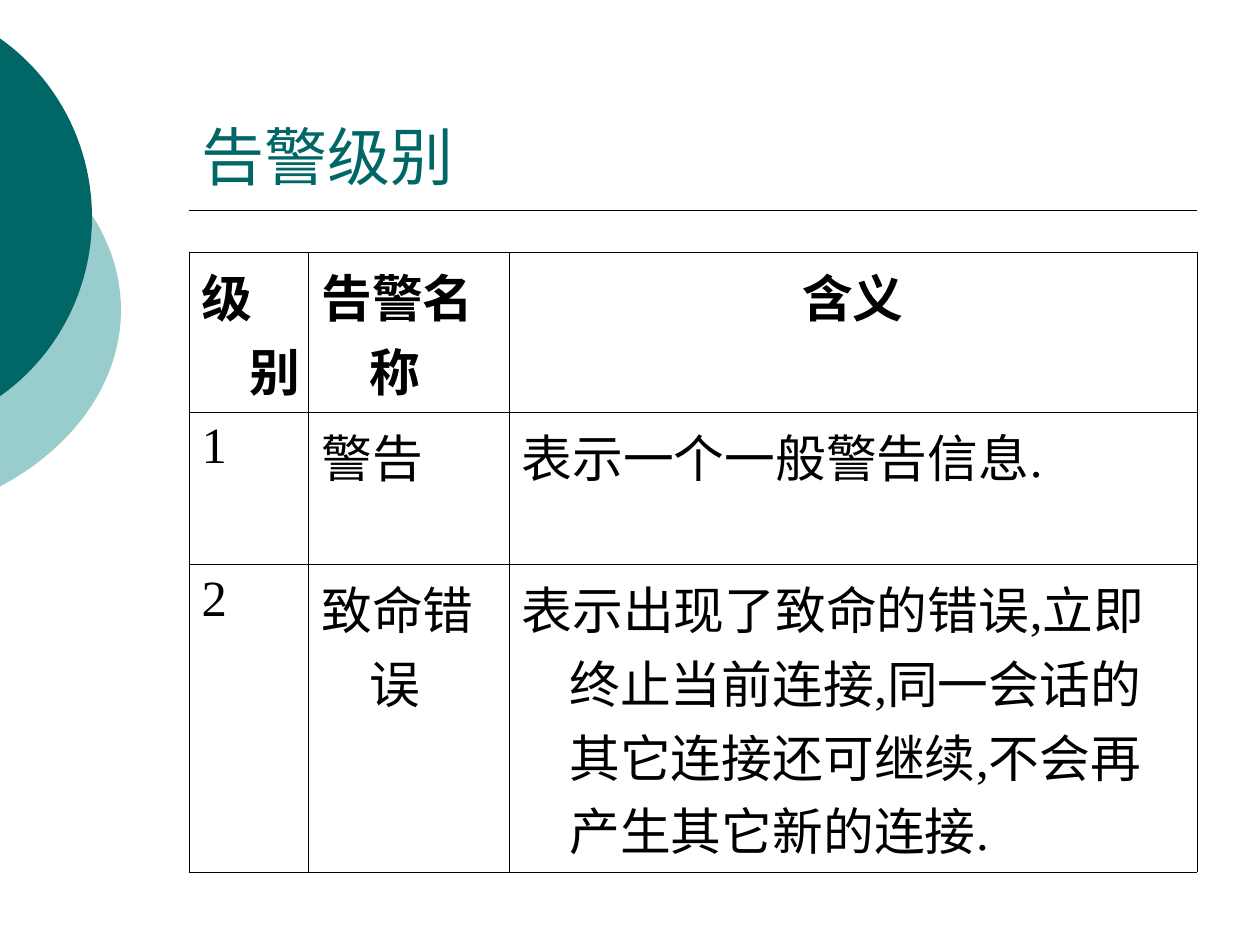
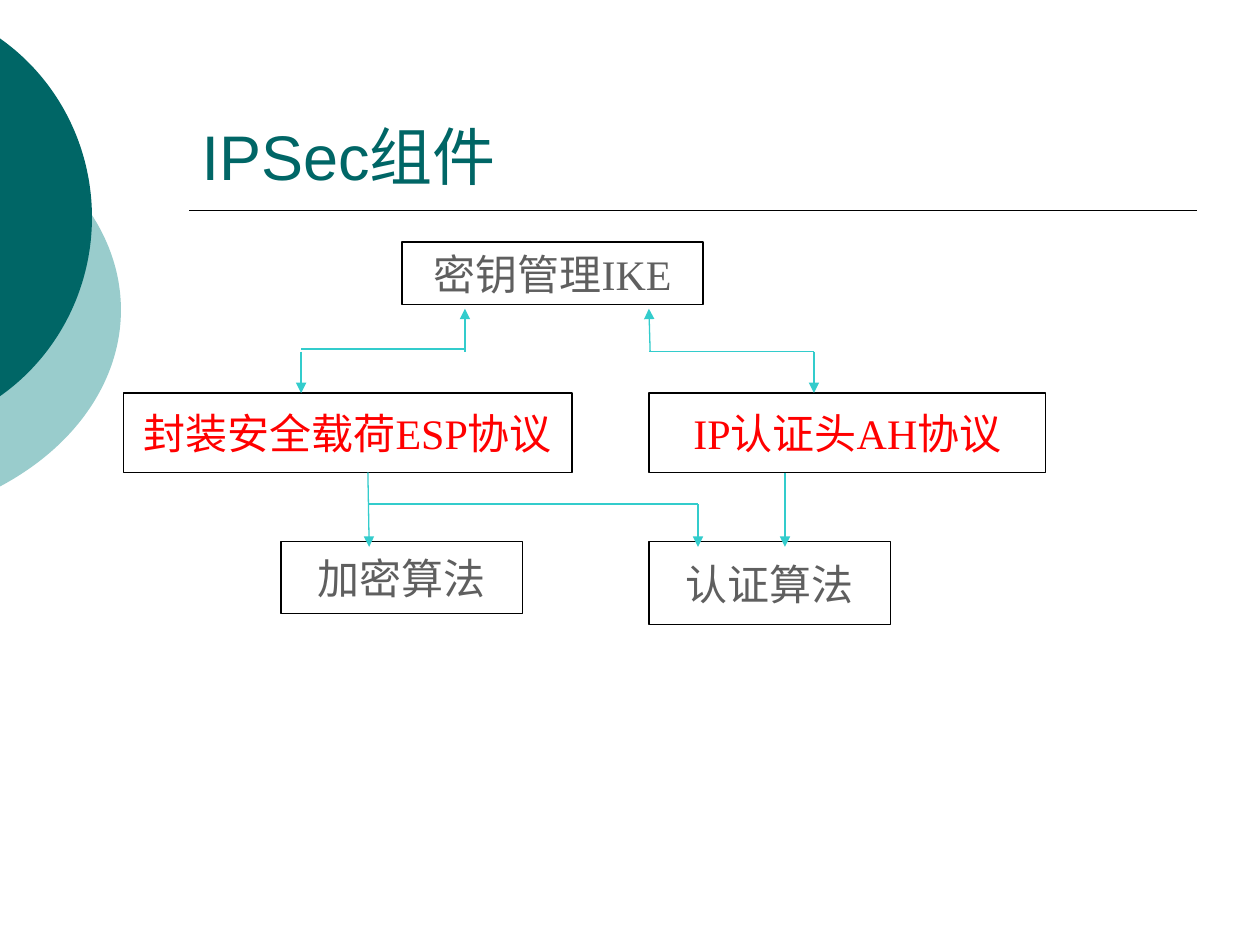
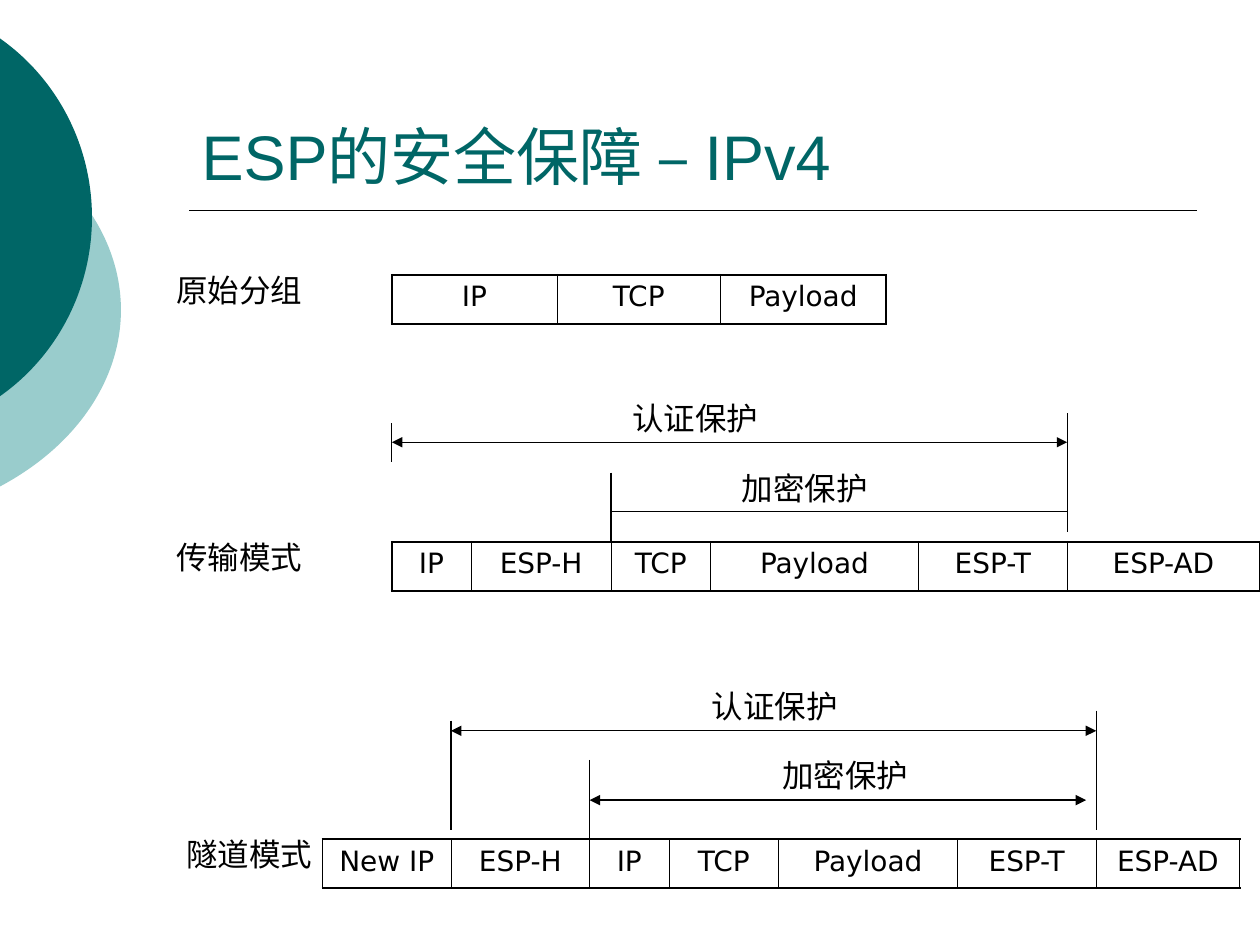
from itertools import accumulate

from lxml import etree
from pptx import Presentation
from pptx.dml.color import RGBColor
from pptx.enum.shapes import MSO_CONNECTOR, MSO_SHAPE
from pptx.enum.text import MSO_ANCHOR, MSO_AUTO_SIZE, PP_ALIGN
from pptx.oxml.ns import qn
from pptx.util import Inches, Pt

LEFT, CENTER = PP_ALIGN.LEFT, PP_ALIGN.CENTER
OVAL, RECTANGLE = MSO_SHAPE.OVAL, MSO_SHAPE.RECTANGLE
STRAIGHT = MSO_CONNECTOR.STRAIGHT
BOTTOM, MIDDLE = MSO_ANCHOR.BOTTOM, MSO_ANCHOR.MIDDLE
NO_FIT = MSO_AUTO_SIZE.NONE
TEAL, PALE_TEAL, AQUA = "006666", "99CCCC", "33CCCC"
BLACK, WHITE, RED, GREY = "000000", "FFFFFF", "FF0000", "5F5F5F"
HEADING, SERIF, SANS = "Arial", "Times New Roman", "DejaVu Sans"
MARGIN, CONTENT_W = 1.5, 8
THIN, THICK = 0.45, 1.08


def write(frame, text, size, font, colour, align=LEFT, bold=False):
    paragraph = frame.paragraphs[0]
    paragraph.alignment = align
    run = paragraph.add_run()
    run.text = text
    run.font.size, run.font.name, run.font.bold = Pt(size), font, bold
    run.font.color.rgb = RGBColor.from_string(colour)
    return paragraph


def draw_line(slide, x1, y1, x2, y2, colour=BLACK, width=0.75, arrows=()):
    line = slide.shapes.add_connector(
        STRAIGHT, Inches(x1), Inches(y1), Inches(x2), Inches(y2))
    line.line.color.rgb = RGBColor.from_string(colour)
    line.line.width = Pt(width)
    for end in arrows:
        etree.SubElement(line.line._get_or_add_ln(), qn(f"a:{end}"), type="triangle")
    etree.SubElement(line._element.spPr, qn("a:effectLst"))


prs = Presentation()
prs.slide_width, prs.slide_height = Inches(10), Inches(7.5)

# Shared frame: two discs cut by the left edge, title and rule
discs = [(PALE_TEAL, -3.54, 0.75, 4.5, 3.42), (TEAL, -2.65, 0, 3.38, 3.45)]
slides = []
for heading in ["告警级别", "IPSec组件", "ESP的安全保障 – IPv4"]:
    slide = prs.slides.add_slide(prs.slide_layouts[5])
    slides.append(slide)
    for colour, x, y, w, h in discs:
        disc = slide.shapes.add_shape(OVAL, Inches(x), Inches(y), Inches(w), Inches(h))
        disc.shadow.inherit = False
        disc.fill.solid()
        disc.fill.fore_color.rgb = RGBColor.from_string(colour)
        disc.line.fill.background()
    draw_line(slide, MARGIN, 1.67, MARGIN + CONTENT_W, 1.67, width=1)
    title = slide.shapes.title
    title.left, title.top = Inches(MARGIN), Inches(0.33)
    title.width, title.height = Inches(CONTENT_W), Inches(1.25)
    title.text_frame.auto_size = NO_FIT
    title.text_frame.vertical_anchor = BOTTOM
    write(title.text_frame, heading, 36, HEADING, TEAL)
alerts, components, packets = slides

# Tables: alert levels, then the three packet layouts
alert_rows = [
    ["级别", "告警名称", "含义"],
    ["1", "警告", "表示一个一般警告信息."],
    ["2", "致命错误", "表示出现了致命的错误,立即终止当前连接,"
                  "同一会话的其它连接还可继续,不会再产生其它新的连接."],
]
transport_x, transport_widths = 3.11, [0.63, 1.11, 0.79, 1.65, 1.18, 1.53]
tunnel_x, tunnel_widths = 2.56, [1.02, 1.1, 0.63, 0.87, 1.42, 1.1, 1.14]
PLAIN_Y, TRANSPORT_Y, TUNNEL_Y = 2.18, 4.3, 6.66
PACKET_H = [0.39]
tables = [
    (alerts, MARGIN, 2, [0.95, 1.59, 5.46], [1.24, 1.21, 2.05], alert_rows),
    (packets, transport_x, PLAIN_Y, [1.31, 1.3, 1.31], PACKET_H,
     [["IP", "TCP", "Payload"]]),
    (packets, transport_x, TRANSPORT_Y, transport_widths, PACKET_H,
     [["IP", "ESP-H", "TCP", "Payload", "ESP-T", "ESP-AD"]]),
    (packets, tunnel_x, TUNNEL_Y, tunnel_widths, PACKET_H,
     [["New IP", "ESP-H", "IP", "TCP", "Payload", "ESP-T", "ESP-AD"]]),
]
for slide, x, y, widths, heights, rows in tables:
    is_alert = slide is alerts
    outer = THIN if is_alert else THICK
    table = slide.shapes.add_table(
        len(rows), len(widths), Inches(x), Inches(y),
        Inches(sum(widths)), Inches(sum(heights))).table
    table.first_row = table.horz_banding = False
    for column, width in zip(table.columns, widths):
        column.width = Inches(width)
    for r, row in enumerate(rows):
        table.rows[r].height = Inches(heights[r])
        for c, text in enumerate(row):
            cell = table.cell(r, c)
            if is_alert:
                align = CENTER if r == 0 and c == 2 else LEFT
                paragraph = write(cell.text_frame, text, 29, SERIF, BLACK, align, r == 0)
                indent = paragraph._p.get_or_add_pPr()
                indent.set("marL", str(Inches(0.38)))
                indent.set("indent", str(Inches(-0.38)))
            else:
                write(cell.text_frame, text, 16, SANS, BLACK, CENTER)
            edges = {"lnL": c == 0, "lnR": c == len(row) - 1,
                     "lnT": r == 0, "lnB": r == len(rows) - 1}
            borders = cell._tc.get_or_add_tcPr()
            for edge, is_outer in edges.items():
                border = etree.SubElement(borders, qn(f"a:{edge}"),
                                          w=str(Pt(outer if is_outer else THIN)))
                fill = etree.SubElement(border, qn("a:solidFill"))
                etree.SubElement(fill, qn("a:srgbClr"), val=BLACK)
            cell.fill.background()

# IPSec components: boxes
boxes = [
    ("封装安全载荷ESP协议", 0.98, 3.12, 3.56, 0.63, RED),
    ("IP认证头AH协议", 5.15, 3.12, 3.15, 0.63, RED),
    ("加密算法", 2.23, 4.3, 1.92, 0.57, GREY),
    ("认证算法", 5.15, 4.3, 1.92, 0.66, GREY),
    ("密钥管理IKE", 3.19, 1.92, 2.39, 0.5, GREY),
]
for text, x, y, w, h, colour in boxes:
    box = components.shapes.add_shape(
        RECTANGLE, Inches(x), Inches(y), Inches(w), Inches(h))
    box.shadow.inherit = False
    box.fill.solid()
    box.fill.fore_color.rgb = RGBColor.from_string(WHITE)
    box.line.color.rgb = RGBColor.from_string(BLACK)
    box.line.width = Pt(0.75)
    box.text_frame.word_wrap = False
    box.text_frame.vertical_anchor = MIDDLE
    write(box.text_frame, text, 24, SERIF, colour, CENTER)

# IPSec components: stepped arrows
TO, FROM = ["tailEnd"], ["headEnd"]
links = [
    (2.39, 2.79, 2.39, 3.12, TO), (2.39, 2.77, 3.69, 2.77, []), (3.69, 2.45, 3.69, 2.79, FROM),
    (6.46, 2.79, 6.46, 3.12, TO), (5.15, 2.79, 6.46, 2.79, []), (5.15, 2.45, 5.16, 2.79, FROM),
    (6.23, 3.75, 6.23, 4.34, TO), (2.92, 3.75, 2.93, 4.34, TO),
    (2.92, 4, 5.54, 4, []), (5.54, 4, 5.54, 4.34, TO),
]
for *ends, arrows in links:
    draw_line(components, *ends, AQUA, arrows=arrows)

# Packet protection: spans follow the field edges of each packet
transport = list(accumulate(transport_widths, initial=transport_x))
tunnel = list(accumulate(tunnel_widths, initial=tunnel_x))
BOTH = ["headEnd", "tailEnd"]
spans = [
    (transport[0], transport[5], 3.51, BOTH),
    (transport[2], transport[5], 4.06, []),
    (tunnel[1], tunnel[6], 5.8, BOTH),
    (tunnel[2], tunnel[6] - 0.08, 6.35, BOTH),
]
for start, end, y, arrows in spans:
    draw_line(packets, start, y, end, y, arrows=arrows)
limits = [
    (transport[0], 3.36, 3.67), (transport[5], 3.28, 4.22),
    (transport[2], 3.75, TRANSPORT_Y),
    (tunnel[1], 5.72, 6.59), (tunnel[6], 5.64, 6.59),
    (tunnel[2], 6.03, TUNNEL_Y),
]
for x, top, bottom in limits:
    draw_line(packets, x, top, x, bottom)

# Packet protection: mode names and span labels
labels = [
    ("原始分组", 1.3, PLAIN_Y - 0.08), ("传输模式", 1.3, TRANSPORT_Y - 0.08),
    ("隧道模式", 1.38, TUNNEL_Y - 0.08),
    ("认证保护", 4.92, 3.12), ("加密保护", 5.79, 3.67),
    ("认证保护", 5.55, 5.4), ("加密保护", 6.11, 5.95),
]
for text, x, y in labels:
    label = packets.shapes.add_textbox(Inches(x), Inches(y), Inches(1.26), Inches(0.4))
    label.text_frame.word_wrap = True
    write(label.text_frame, text, 18, SANS, BLACK)

prs.save("out.pptx")
